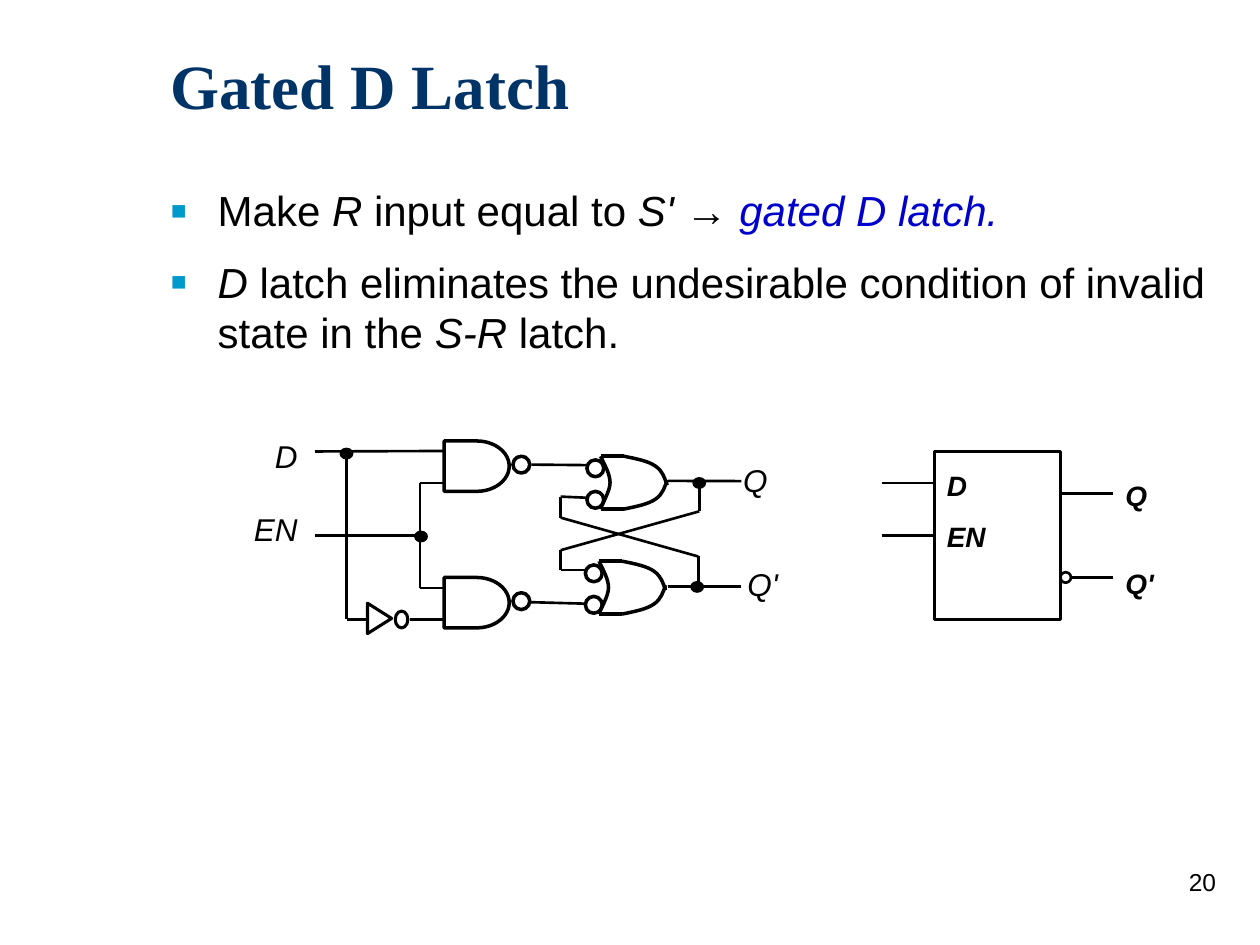
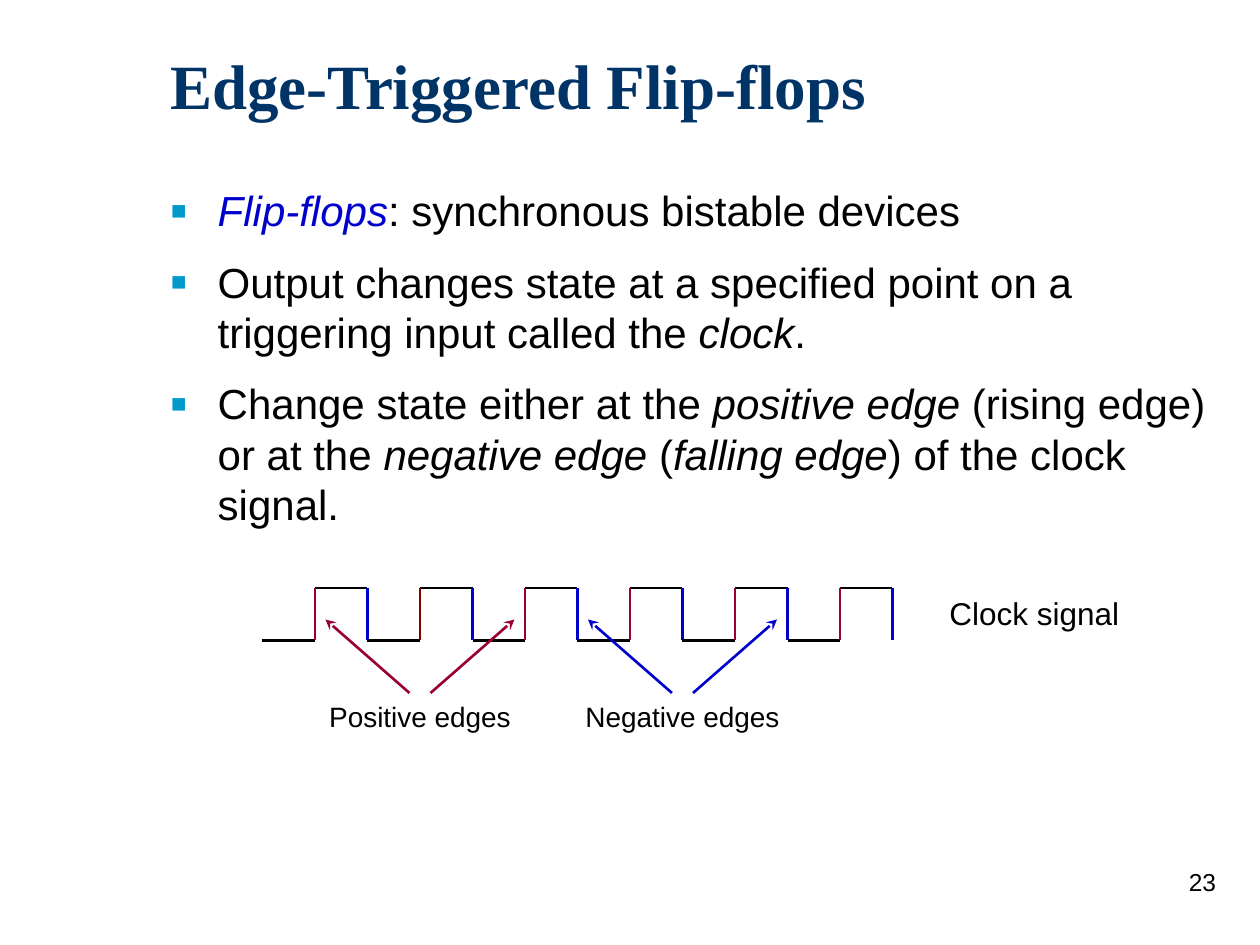
from lxml.etree import SubElement
from pptx import Presentation
from pptx.dml.color import RGBColor
from pptx.enum.shapes import MSO_CONNECTOR, MSO_SHAPE
from pptx.enum.text import MSO_ANCHOR, PP_ALIGN
from pptx.oxml.ns import qn
from pptx.util import Inches, Pt

COLORS = dict(black="000000", title="003366", bullet="0099CC",
              blue="0000CC", red="990033", maroon="800000")
COLS, ROWS = 120, 90
CELL = Inches(10) / COLS

FORMATS = {
    "title": dict(size=Pt(36), name="Times New Roman", bold=True, color="title"),
    "page": dict(size=Pt(14)),
    "body": dict(size=Pt(24)),
    "pin": dict(size=Pt(16), bold=True, italic=True),
    "signal": dict(size=Pt(18), italic=True),
    "edge": dict(size=Pt(16)),
    "clock": dict(size=Pt(18)),
}
RUNS = {
    "": {},
    "i": dict(italic=True),
    "term": dict(italic=True, color="blue"),
}

LATCH = dict(
    title="Gated D Latch", page="20", body_rows=18,
    bullets=[
        [("Make ", ""), ("R", "i"), (" input equal to ", ""), ("S' ", "i"),
         ("→ ", ""), ("gated D latch.", "term")],
        [("D", "i"), (" latch eliminates the undesirable condition of invalid "
                      "state in the ", ""), ("S-R", "i"), (" latch.", "")],
    ],
)
FLIP_FLOPS = dict(
    title="Edge-Triggered Flip-flops", page="23", body_rows=34,
    bullets=[
        [("Flip-flops", "term"), (": synchronous bistable devices", "")],
        [("Output changes state at a specified point on a triggering input "
          "called the ", ""), ("clock", "i"), (".", "")],
        [("Change state either at the ", ""), ("positive edge", "i"),
         (" (rising edge) or at the ", ""), ("negative edge", "i"), (" (", ""),
         ("falling edge", "i"), (") of the clock signal.", "")],
    ],
)

WIRES = [
    (30, 43, 42.2, 42.95), (33, 43, 33, 59), (33, 59, 35, 59), (39, 59, 42.2, 59),
    (30, 51, 40, 51), (40, 46, 40, 56), (40, 46, 42.2, 46), (40, 56, 42.2, 56),
    (50.6, 44.25, 55.8, 44.3), (50.5, 57.35, 55.9, 57.5),
    (53.4, 47.3, 55.8, 47.4), (53.4, 47.3, 53.4, 49.3), (53.4, 49.3, 66.5, 53),
    (66.5, 53, 66.5, 56), (53.4, 54.3, 55.8, 54.3), (53.4, 52.4, 53.4, 54.3),
    (66.6, 48.7, 53.4, 52.4), (66.6, 45.8, 66.6, 48.7),
    (63.6, 45.8, 70.6, 45.82), (63.6, 55.84, 70.6, 55.84),
]
NODES = [(33, 43.2), (40.1, 51.1), (66.6, 46), (66.4, 55.9)]
NAND_GATES = [(42.3, 42), (42.3, 55)]
OR_GATES = [(57.2, 43.45), (57.05, 53.45)]
OR_HEIGHT, OR_EDGE = 5.04, 2.2
OR_BACK = [(0, 0), (0.4, 0.85), (0.9, 1.7), (0.9, 2.52),
           (0.9, 3.35), (0.1, 4.6), (0, OR_HEIGHT)]
OR_FRONT = [(OR_EDGE, 0), (3.4, 0.24), (4.6, 0.48), (5.25, 0.96),
            (5.95, 1.45), (6.1, 2.1), (6.35, 2.76)]
SIGNALS = [("D", 25, 41, 6), ("EN", 23, 48, 7.2),
           ("Q", 69.6, 43.35, 5.6), ("Q'", 70, 53.2, 5.6)]
SYMBOL_BOX = (89, 43, 12, 16)
SYMBOL_WIRES = [(84, 46, 89, 46), (101, 47, 106, 47), (102, 55, 106, 55)]
SYMBOL_PINS = [(("D", "EN"), (89, 44, 7, 9.2), 10),
               (("Q", "Q'"), (106, 45, 6, 12.8), 31)]

RISING = ["red", "maroon", "red", "red", "red", "red"]
CLOCK = dict(left=25, high=56, low=61, half=5)
EDGE_LABELS = [("Positive edges", 30, 20, "red"), ("Negative edges", 54, 22, "blue")]


def at(*cells):
    return [round(c * CELL) for c in cells]


def rgb(name):
    return RGBColor.from_string(COLORS[name])


def style(font, base, extra):
    values = {"name": "Arial", "color": "black", **FORMATS[base], **extra}
    font.color.rgb = rgb(values.pop("color"))
    for key, value in values.items():
        setattr(font, key, value)


def text(s, box, paragraphs, base, **fmt):
    tf = s.shapes.add_textbox(*at(*box)).text_frame
    tf.word_wrap = True
    tf.vertical_anchor = fmt.pop("anchor", MSO_ANCHOR.TOP)
    for i, runs in enumerate(paragraphs):
        p = tf.paragraphs[0] if i == 0 else tf.add_paragraph()
        for key, value in fmt.items():
            setattr(p, key, value)
        for words, kind in runs:
            r = p.add_run()
            r.text = words
            style(r.font, base, RUNS[kind])
    return tf


def label(s, words, box, base, **fmt):
    return text(s, box, [[(words, "")]], base, **fmt)


def bullet(p):
    pPr = p._p.get_or_add_pPr()
    pPr.set("marL", str(Inches(0.38)))
    pPr.set("indent", str(-Inches(0.38)))
    SubElement(SubElement(pPr, qn("a:buClr")), qn("a:srgbClr"), val=COLORS["bullet"])
    SubElement(pPr, qn("a:buSzPct"), val="120000")
    SubElement(pPr, qn("a:buFont"), typeface="Arial")
    SubElement(pPr, qn("a:buChar"), char="▪")


def line(s, ends, color="black", width=1.5, arrow=False):
    c = s.shapes.add_connector(MSO_CONNECTOR.STRAIGHT, *at(*ends))
    c.line.color.rgb = rgb(color)
    c.line.width = Pt(width)
    if arrow:
        SubElement(c.line._get_or_add_ln(), qn("a:tailEnd"), type="stealth")
    SubElement(c._element.spPr, qn("a:effectLst"))
    return c


def outline(sp, width=2, filled=False):
    sp.shadow.inherit = False
    if filled:
        sp.fill.solid()
        sp.fill.fore_color.rgb = rgb("black")
    else:
        sp.fill.background()
    sp.line.color.rgb = rgb("black")
    sp.line.width = Pt(width)
    return sp


def shape(s, kind, box, width=2, filled=False):
    return outline(s.shapes.add_shape(kind, *at(*box)), width, filled)


def curve(s, x, y, points):
    start, *rest = [at(x + px, y + py) for px, py in points]
    fb = s.shapes.build_freeform(*start)
    fb.add_line_segments(rest, close=False)
    sp = outline(fb.convert_to_shape())
    segments = list(sp._element.iter(qn("a:lnTo")))
    for i in range(0, len(segments), 3):
        bezier = SubElement(segments[i].getparent(), qn("a:cubicBezTo"))
        for segment in segments[i:i + 3]:
            bezier.append(segment[0])
            segment.getparent().remove(segment)


def or_gate(s, x, y):
    curve(s, x, y, OR_BACK)
    curve(s, x, y, OR_FRONT)
    curve(s, x, y, [(px, OR_HEIGHT - py) for px, py in OR_FRONT])
    for edge in (y, y + OR_HEIGHT):
        line(s, (x, edge, x + OR_EDGE, edge), width=2)
    for dy in (0.35, 3.35):
        shape(s, MSO_SHAPE.OVAL, (x - 1.3, y + dy, 1.6, 1.6))


def new_slide(prs, content):
    s = prs.slides.add_slide(prs.slide_layouts[6])
    label(s, content["page"], (92, 82, 25, 6), "page", alignment=PP_ALIGN.RIGHT)
    label(s, content["title"], (15.05, 3, 102, 10), "title", anchor=MSO_ANCHOR.MIDDLE)
    tf = text(s, (15, 17, 101, content["body_rows"]), content["bullets"], "body",
              space_before=Pt(12))
    for p in tf.paragraphs:
        bullet(p)
    return s


def draw_circuit(s):
    for ends in WIRES:
        line(s, ends)
    for x, y in NODES:
        shape(s, MSO_SHAPE.OVAL, (x - 0.6, y - 0.5, 1.2, 1), 0.75, True)
    for x, y in NAND_GATES:
        shape(s, MSO_SHAPE.FLOWCHART_DELAY, (x, y, 6.2, 4.8))
        shape(s, MSO_SHAPE.OVAL, (x + 6.55, y + 1.45, 1.6, 1.6))
    for x, y in OR_GATES:
        or_gate(s, x, y)
    shape(s, MSO_SHAPE.FLOWCHART_EXTRACT, (34.7, 57.75, 2.9, 2.3), 1.75).rotation = 90
    shape(s, MSO_SHAPE.OVAL, (37.65, 58.2, 1.2, 1.6), 1.75)
    for name, x, y, w in SIGNALS:
        label(s, name, (x, y, w, 4.8), "signal")


def draw_symbol(s):
    box = shape(s, MSO_SHAPE.RECTANGLE, SYMBOL_BOX)
    for ends in SYMBOL_WIRES:
        line(s, ends)
    line(s, (84, 51, 89, 51)).end_connect(box, 1)
    shape(s, MSO_SHAPE.OVAL, (101, 54.5, 1, 1), 1.5)
    for names, area, gap in SYMBOL_PINS:
        text(s, area, [[(name, "")] for name in names], "pin", space_before=Pt(gap))


def draw_clock(s):
    high, low, half = CLOCK["high"], CLOCK["low"], CLOCK["half"]
    for i, rising in enumerate(RISING):
        start = CLOCK["left"] + 2 * half * i
        up, down = start + half, start + 2 * half
        line(s, (start, low, up, low))
        line(s, (up, high, down, high))
        line(s, (up, high, up, low), rising)
        line(s, (down, high, down, low), "blue")
    label(s, "Clock signal", (88, 56, 21, 4.8), "clock", alignment=PP_ALIGN.CENTER)
    for words, x, w, color in EDGE_LABELS:
        label(s, words, (x, 66, w, 4.4), "edge", alignment=PP_ALIGN.CENTER)
        middle = x + w / 2
        for side in (-1, 1):
            line(s, (middle + side, 66, middle + 9 * side, 59), color, arrow=True)


def main():
    prs = Presentation()
    prs.slide_width, prs.slide_height = at(COLS, ROWS)
    s = new_slide(prs, LATCH)
    draw_circuit(s)
    draw_symbol(s)
    draw_clock(new_slide(prs, FLIP_FLOPS))
    prs.save("out.pptx")


if __name__ == "__main__":
    main()
